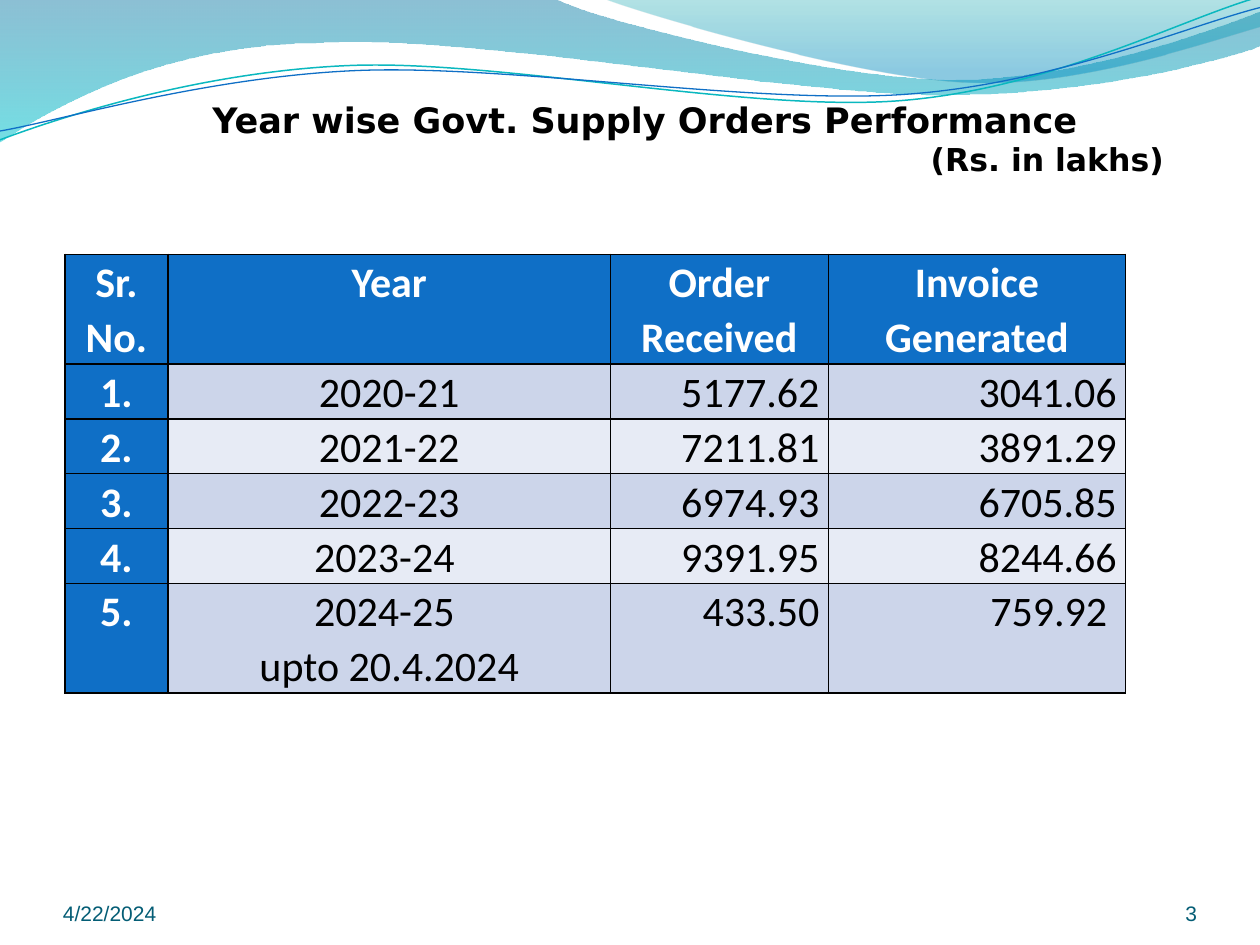
from dataclasses import dataclass
from math import cos, radians, sin

from lxml import etree
from pptx import Presentation
from pptx.dml.color import RGBColor
from pptx.enum.text import MSO_ANCHOR, PP_ALIGN
from pptx.oxml.ns import qn
from pptx.util import Emu, Inches, Pt

LEFT, CENTER, RIGHT = PP_ALIGN.LEFT, PP_ALIGN.CENTER, PP_ALIGN.RIGHT
MIDDLE, BOTTOM = MSO_ANCHOR.MIDDLE, MSO_ANCHOR.BOTTOM
COLUMNS, ROWS = 1000, 750
CELL = Inches(0.01)


@dataclass(frozen=True)
class Theme:
    """Colours, fonts and type sizes of the slide."""

    ink: str = "000000"
    paper: str = "FFFFFF"
    blue: str = "0F6FC6"
    teal: str = "0AB8BF"
    footer: str = "045D75"
    bands: tuple = ("CCD5EA", "E7EBF5")
    title_font: str = "DejaVu Sans"
    table_font: str = "Calibri"
    footer_font: str = "Arial"
    title_size: int = 20
    unit_size: int = 18
    table_size: int = 24
    footer_size: int = 12


@dataclass(frozen=True)
class Stop:
    """One gradient stop, with position and opacity in percent."""

    position: int
    color: str
    opacity: int


@dataclass(frozen=True)
class Wave:
    """An outline of lines (x, y) and cubic curves (three points), in grid units."""

    start: tuple
    segments: tuple
    stops: tuple = ()
    color: str = ""
    width: float = 0
    tilt: float = 0
    pivot: tuple = (0, 0)


@dataclass(frozen=True)
class Area:
    """A rectangle in grid units."""

    left: float
    top: float
    width: float
    height: float

    def lengths(self) -> list:
        """Return the rectangle in EMU."""
        return [grid(value) for value in (self.left, self.top, self.width, self.height)]


THEME = Theme()
WAVES = (
    Wave((0, -1), ((440, -1), (476, 17, 664, 63, 758, 63), (853, 63, 958, 26, 1000, 9),
                   (1001, 36), (983, 44, 870, 76, 746, 75), (622, 75, 382, 28, 257, 34),
                   (129, 35, 46, 83, -1, 113), (0, -1)),
         stops=(Stop(0, "0074A1", 45), Stop(100, "00C6CF", 55))),
    Wave((479, -1), ((509, 11, 682, 62, 769, 65), (856, 69, 961, 32, 1000, 21), (1000, 0),
                     (479, -1)),
         stops=(Stop(0, "00A1A9", 30), Stop(80, "008BBF", 45))),
    Wave((0, 111), ((48, 93, 158, 57, 277, 52), (395, 47, 593, 89, 713, 80),
                    (833, 71, 938, 15, 998, -2)),
         color=THEME.teal, width=0.85, tilt=-2.7, pivot=(499, 57.5)),
    Wave((0, 104), ((47, 96, 164, 61, 283, 56), (403, 51, 597, 83, 717, 75),
                    (836, 67, 941, 21, 1000, 6)),
         color=THEME.blue, width=0.75, tilt=-2.7, pivot=(499.5, 59)),
)
TABLE_AREA = Area(51.4, 201.8, 842, 348.4)
TABLE_COLUMNS = (82, 351, 173, 236)
TABLE_LINE = 43.55
ROW_LINES = (2, 1, 1, 1, 1, 2)
HEADINGS = ("Sr. No.", "Year", "Order Received", "Invoice Generated")
RECORDS = (
    ("2020-21", "5177.62", "3041.06"),
    ("2021-22", "7211.81", "3891.29"),
    ("2022-23", "6974.93", "6705.85"),
    ("2023-24 ", "9391.95", "8244.66"),
    ("2024-25 \nupto 20.4.2024", "433.50", "759.92 "),
)


def grid(units: float) -> Emu:
    """Turn grid units into a length."""
    return Emu(round(units * CELL))


def write_text(frame, text: str, *, size: int, font: str, color: str, bold: bool = False,
               align=LEFT, spacing: float = 1.0) -> None:
    """Write each line of text as a paragraph, after any text already there."""
    for line in text.split("\n"):
        para = frame.paragraphs[-1]
        if para.runs:
            para = frame.add_paragraph()
        para.alignment, para.line_spacing = align, spacing
        span = para.add_run()
        span.text = line
        span.font.size, span.font.name, span.font.bold = Pt(size), font, bold
        span.font.color.rgb = RGBColor.from_string(color)


def add_frame(page, area: Area, *, anchor, inset: bool = True):
    """Add a wrapping text box and return its text frame."""
    frame = page.shapes.add_textbox(*area.lengths()).text_frame
    frame.word_wrap, frame.vertical_anchor = True, anchor
    if not inset:
        frame.margin_left = frame.margin_right = frame.margin_top = frame.margin_bottom = 0
    return frame


def level(point: tuple, wave: Wave) -> tuple:
    """Return a point of the wave as it lies before the tilt, in EMU."""
    angle = radians(-wave.tilt)
    x, y = point[0] - wave.pivot[0], point[1] - wave.pivot[1]
    return (grid(wave.pivot[0] + x * cos(angle) - y * sin(angle)),
            grid(wave.pivot[1] + x * sin(angle) + y * cos(angle)))


def bend(shape, segments: tuple) -> None:
    """Turn each run of three straight pieces that stands for a curve into that curve."""
    outline = next(shape._element.iter(qn("a:path")))
    pieces = iter(outline.findall(qn("a:lnTo")))
    for segment in segments:
        piece = next(pieces)
        if len(segment) == 6:
            curve = etree.Element(qn("a:cubicBezTo"))
            outline.replace(piece, curve)
            curve.append(piece[0])
            for other in (next(pieces), next(pieces)):
                curve.append(other[0])
                outline.remove(other)


def fill_gradient(shape, stops: tuple) -> None:
    """Fill a shape from top to bottom with translucent stops."""
    shape.fill.gradient()
    gradient = shape.fill._xPr.find(qn("a:gradFill"))
    for child in list(gradient):
        gradient.remove(child)
    stop_list = etree.SubElement(gradient, qn("a:gsLst"))
    for stop in stops:
        node = etree.SubElement(stop_list, qn("a:gs"), pos=str(stop.position * 1000))
        color = etree.SubElement(node, qn("a:srgbClr"), val=stop.color)
        etree.SubElement(color, qn("a:alpha"), val=str(stop.opacity * 1000))
    etree.SubElement(gradient, qn("a:lin"), ang="5400000", scaled="0")


def add_wave(page, wave: Wave) -> None:
    """Draw a filled band or an open line."""
    points = [segment[i:i + 2] for segment in wave.segments for i in range(0, len(segment), 2)]
    builder = page.shapes.build_freeform(*level(wave.start, wave))
    builder.add_line_segments([level(point, wave) for point in points], close=bool(wave.stops))
    shape = builder.convert_to_shape()
    bend(shape, wave.segments)
    shape.rotation = wave.tilt
    shape.shadow.inherit = False
    if wave.stops:
        fill_gradient(shape, wave.stops)
        shape.line.fill.background()
    else:
        shape.fill.background()
        shape.line.color.rgb = RGBColor.from_string(wave.color)
        shape.line.width = Pt(wave.width)


def style_cell(cell, color: str) -> None:
    """Give a table cell its borders, margins and fill."""
    properties = cell._tc.get_or_add_tcPr()
    for side in ("a:lnL", "a:lnR", "a:lnT", "a:lnB"):
        border = etree.SubElement(properties, qn(side), w=str(Pt(1)))
        solid = etree.SubElement(border, qn("a:solidFill"))
        etree.SubElement(solid, qn("a:srgbClr"), val=THEME.ink)
    cell.margin_left = cell.margin_right = grid(7)
    cell.margin_top = cell.margin_bottom = 0
    cell.fill.solid()
    cell.fill.fore_color.rgb = RGBColor.from_string(color)


def add_orders_table(page) -> None:
    """Add the table of orders and invoices by year."""
    rows = [HEADINGS] + [(f"{number}.", *record) for number, record in enumerate(RECORDS, 1)]
    table = page.shapes.add_table(len(rows), len(HEADINGS), *TABLE_AREA.lengths()).table
    for column, width in zip(table.columns, TABLE_COLUMNS):
        column.width = grid(width)
    for row, lines in zip(table.rows, ROW_LINES):
        row.height = grid(lines * TABLE_LINE)
    for r, texts in enumerate(rows):
        for c, text in enumerate(texts):
            heading = r == 0 or c == 0
            cell = table.cell(r, c)
            style_cell(cell, THEME.blue if heading else THEME.bands[(r - 1) % 2])
            write_text(cell.text_frame, text, size=THEME.table_size, font=THEME.table_font,
                       color=THEME.paper if heading else THEME.ink, bold=heading,
                       align=CENTER if heading or c == 1 else RIGHT, spacing=1.07)


def main() -> None:
    """Build the slide and save it."""
    deck = Presentation()
    deck.slide_width, deck.slide_height = grid(COLUMNS), grid(ROWS)
    page = deck.slides.add_slide(deck.slide_layouts[6])
    for wave in WAVES:
        add_wave(page, wave)
    for text, area, align in (("4/22/2024", Area(50, 695, 233, 40), LEFT),
                              ("3", Area(867, 695, 83, 40), RIGHT)):
        write_text(add_frame(page, area, anchor=BOTTOM, inset=False), text, align=align,
                   size=THEME.footer_size, font=THEME.footer_font, color=THEME.footer)
    add_orders_table(page)
    title = add_frame(page, Area(90.5, 72.6, 843, 74), anchor=MIDDLE)
    for text, size, align in (
            ("Year wise Govt. Supply Orders Performance", THEME.title_size, CENTER),
            ("(Rs. in lakhs)", THEME.unit_size, RIGHT)):
        write_text(title, text, size=size, font=THEME.title_font, color=THEME.ink,
                   bold=True, align=align)
    deck.save("out.pptx")


if __name__ == "__main__":
    main()
